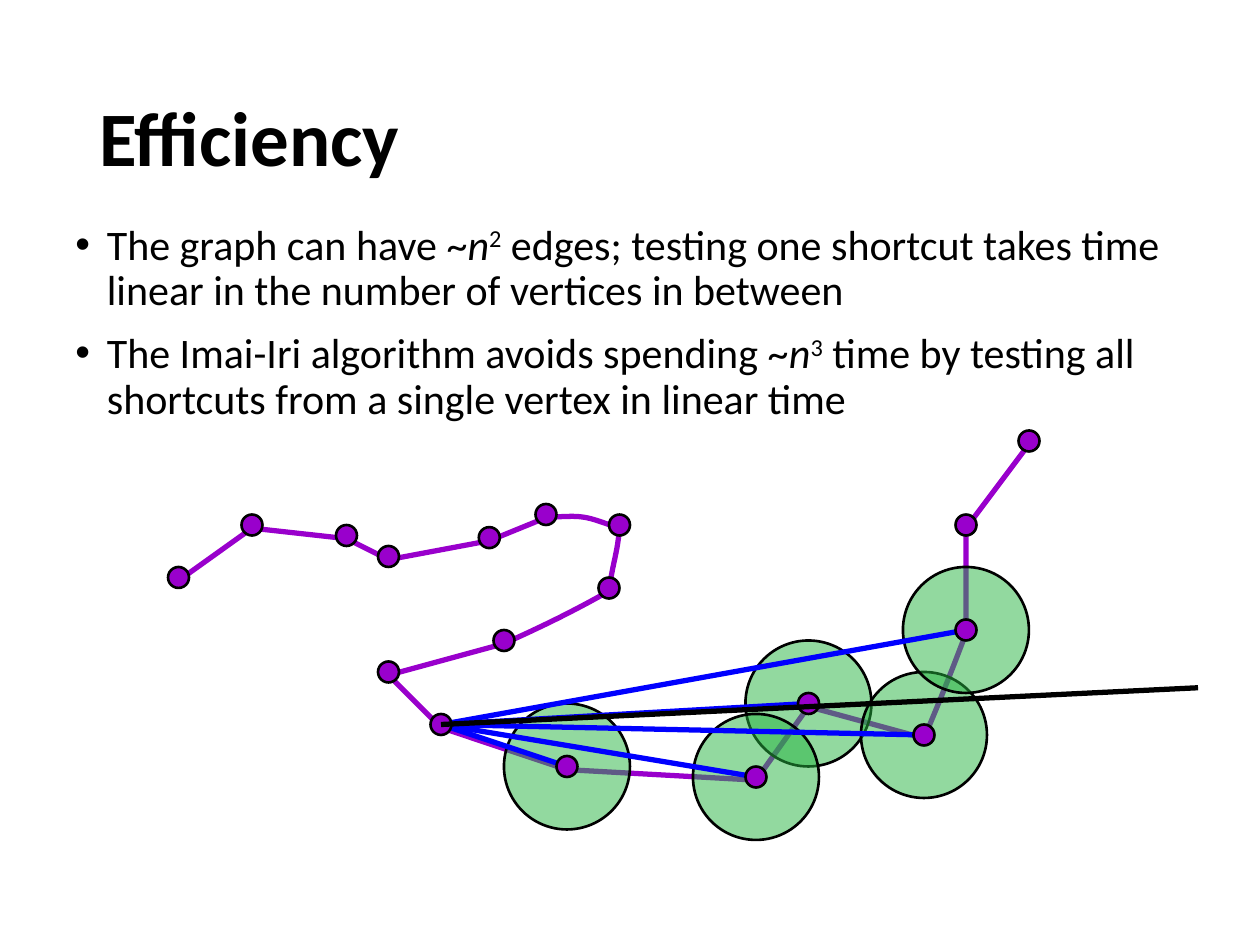
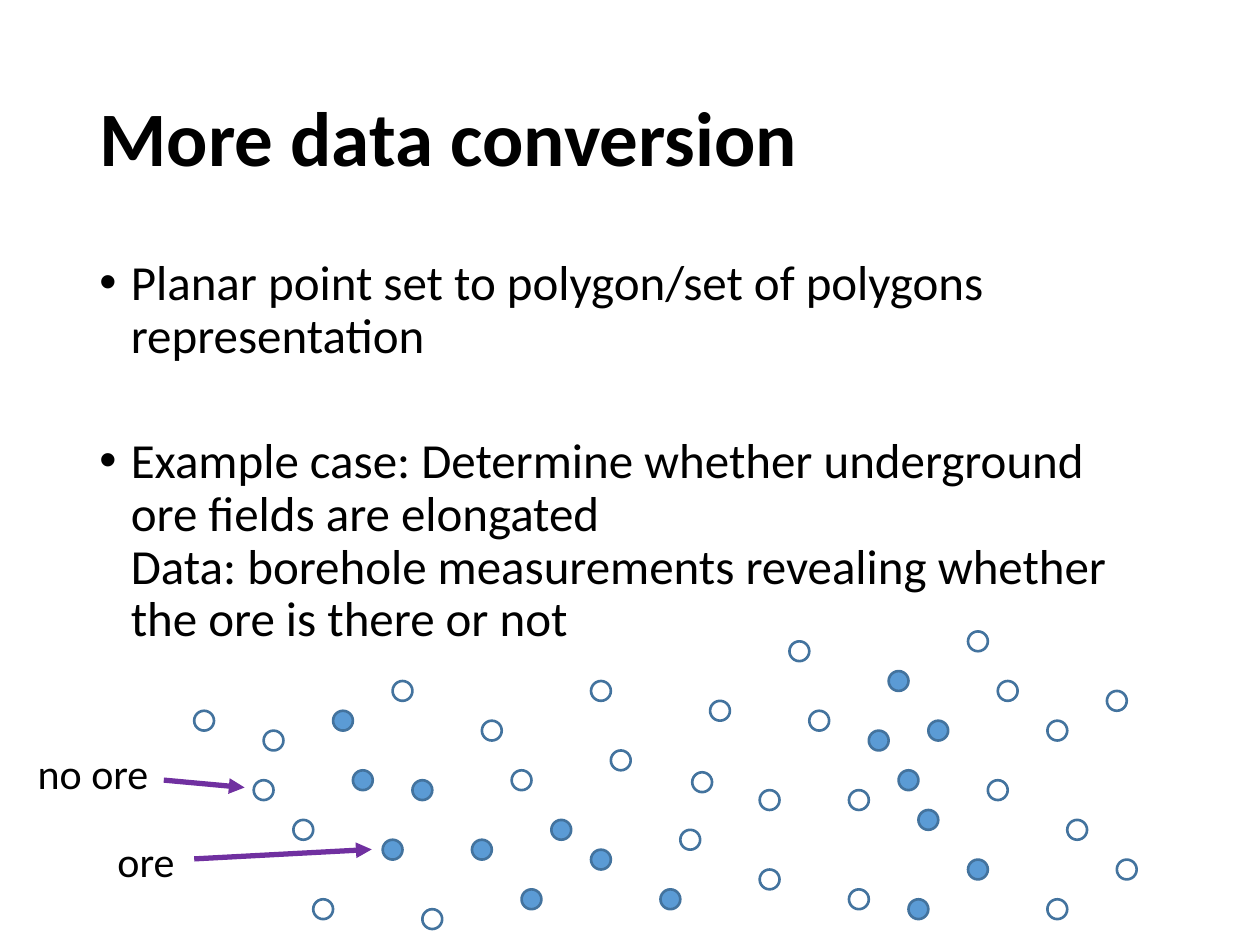
"""Build two lecture slides: shortcut testing on a polyline, and ore boreholes."""
from lxml.etree import SubElement
from pptx import Presentation
from pptx.dml.color import RGBColor
from pptx.enum.shapes import MSO_CONNECTOR, MSO_SHAPE
from pptx.enum.text import MSO_ANCHOR
from pptx.oxml.ns import qn
from pptx.util import Inches, Pt

COLUMNS = 120
COLORS = {
    "text": "000000",
    "chain": "9900CC",
    "tolerance": "26B441",
    "shortcut": "0000FF",
    "ore": "5B9BD5",
    "borehole": "43739E",
    "pointer": "7030A0",
}
TITLE_AREA = (8.28, 4.8, 103.44, 17.4)

CHAIN = [
    (17, 55), (24, 50), (33, 51), (37, 53), (46.6, 51.2), (52, 49),
    (59, 50), (58, 56), (48, 61), (37, 64), (42, 69), (54, 73),
    (72, 74), (77, 67), (88, 70), (92, 60), (92, 50), (98, 42),
]
BENDS = {
    6: ((55.9, 48.7), (55.7, 48.9)),
    7: ((58.8, 52.5), (58.4, 53)),
    8: ((54.6, 57.9), (52.2, 59.1)),
    15: ((89.3, 67), (90.8, 63.2)),
    16: ((92, 56.7), (92, 53.3)),
}
START = CHAIN[10]
TARGETS = CHAIN[11:16]

FIELD_LEFT, FIELD_TOP = 19.44, 61.08
FIELD_STEP = COLUMNS / 127
ORE = [
    (16, 14), (19, 21), (22, 15), (28, 21), (33, 26), (36, 19), (40, 22), (47, 26),
    (74, 9), (70, 4), (71, 14), (73, 18), (78, 23), (68, 10), (72, 27), (14, 8),
]
NO_ORE = [
    (40, 5), (42, 12), (50.2, 14.2), (29, 9), (23, 28), (10, 19), (12, 27),
    (7, 10), (78, 0), (81, 5), (93, 23), (62, 8), (66, 26), (57, 16),
    (57, 24), (52, 7), (92, 6), (86, 9), (88, 19), (0, 8), (86, 27),
    (6, 15), (80, 15), (32, 14), (20, 5), (49, 20), (60, 1), (66, 16),
]


def color(name):
    """Return the named colour."""
    return RGBColor.from_string(COLORS[name])


def bezier(start, first, second, end, steps=10):
    """Return the points of a cubic curve after its start."""
    points = []
    for step in range(1, steps + 1):
        t = step / steps
        weights = ((1 - t) ** 3, 3 * t * (1 - t) ** 2, 3 * t * t * (1 - t), t ** 3)
        corners = (start, first, second, end)
        points.append(tuple(
            sum(w * corner[axis] for w, corner in zip(weights, corners))
            for axis in (0, 1)))
    return points


class Deck:
    """Hold the style, the grid and the current slide."""

    def __init__(self):
        """Start an empty deck of 10 by 7.5 inches."""
        self.file = Presentation()
        self.file.slide_width, self.file.slide_height = Inches(10), Inches(7.5)
        self.unit = self.file.slide_width / COLUMNS

    def emu(self, *lengths):
        """Turn grid lengths into slide lengths."""
        return [round(length * self.unit) for length in lengths]

    def page(self, title):
        """Add a slide with its title."""
        blank = self.file.slide_layouts[6]
        self.shapes = self.file.slides.add_slide(blank).shapes
        frame = self.frame(TITLE_AREA)
        frame.vertical_anchor = MSO_ANCHOR.MIDDLE
        para = frame.paragraphs[0]
        para.line_spacing = 0.9
        self.span(para, title, 44).font.bold = True

    def frame(self, area, wrap=True):
        """Add a text box and return its text frame."""
        frame = self.shapes.add_textbox(*self.emu(*area)).text_frame
        frame.word_wrap = wrap
        return frame

    def span(self, para, text, size, look=None):
        """Add one run, in italics or raised if asked."""
        run = para.add_run()
        run.text = text
        run.font.name, run.font.size = "Calibri", Pt(size)
        run.font.color.rgb = color("text")
        if look == "italic":
            run.font.italic = True
        elif look == "raised":
            run.font._element.set("baseline", "30000")
        return run

    def bullets(self, area, size, items, gap=10):
        """Add bulleted paragraphs made of lines of spans."""
        frame = self.frame(area)
        for index, lines in enumerate(items):
            para = frame.add_paragraph() if index else frame.paragraphs[0]
            para.line_spacing = 0.9
            para.space_before = Pt(gap if index else 10)
            properties = para._p.get_or_add_pPr()
            properties.set("marL", str(Inches(0.25)))
            properties.set("indent", str(-Inches(0.25)))
            SubElement(properties, qn("a:buFont"), typeface="Arial")
            SubElement(properties, qn("a:buChar"), char="•")
            for number, line in enumerate(lines):
                if number:
                    para.add_line_break()
                for text, look in line:
                    self.span(para, text, size, look)

    def label(self, area, text):
        """Add a short unwrapped label."""
        self.span(self.frame(area, wrap=False).paragraphs[0], text, 24)

    def circle(self, center, size, fill=None, line="text", alpha=None):
        """Add a circle around a grid point."""
        x, y = center
        area = self.emu(x - size / 2, y - size / 2, size, size)
        shape = self.shapes.add_shape(MSO_SHAPE.OVAL, *area)
        shape.shadow.inherit = False
        if fill:
            shape.fill.solid()
            shape.fill.fore_color.rgb = color(fill)
        else:
            shape.fill.background()
        if alpha:
            tint = shape._element.spPr.find(".//" + qn("a:srgbClr"))
            SubElement(tint, qn("a:alpha"), val=str(alpha * 1000))
        shape.line.color.rgb, shape.line.width = color(line), Pt(1.5)

    def line(self, start, end, name, arrow=False):
        """Add a straight line, with an arrowhead if asked."""
        connector = self.shapes.add_connector(
            MSO_CONNECTOR.STRAIGHT, *self.emu(*start, *end))
        connector.line.color.rgb, connector.line.width = color(name), Pt(3)
        SubElement(connector._element.spPr, qn("a:effectLst"))
        if arrow:
            SubElement(connector.line._get_or_add_ln(), qn("a:tailEnd"), type="triangle")

    def outline(self, points, name):
        """Add an open outline through grid points."""
        first, *rest = [self.emu(*point) for point in points]
        builder = self.shapes.build_freeform(*first, scale=1.0)
        builder.add_line_segments(rest, close=False)
        shape = builder.convert_to_shape()
        shape.shadow.inherit = False
        shape.fill.background()
        shape.line.color.rgb, shape.line.width = color(name), Pt(3)


def efficiency(deck):
    """Draw the shortcut test from one vertex."""
    deck.page("Efficiency")
    points = CHAIN[:1]
    for index, vertex in enumerate(CHAIN[1:], 1):
        bend = BENDS.get(index)
        points = points + (bezier(CHAIN[index - 1], *bend, vertex) if bend else [vertex])
    deck.outline([(x, y + 0.3) for x, y in points], "chain")
    for index in (2, 3, 4, 1, 0):
        deck.circle(TARGETS[index], 12, "tolerance", alpha=50)
    for target in TARGETS:
        deck.line(START, target, "shortcut")
    deck.bullets((6, 20.76, 108, 23.4), 24, [
        [[("The graph can have ~", None), ("n", "italic"), ("2", "raised"),
          (" edges; testing one shortcut takes time linear in the number "
           "of vertices in between", None)]],
        [[("The Imai-Iri algorithm avoids spending ~", None), ("n", "italic"),
          ("3", "raised"),
          (" time by testing all shortcuts from a single vertex in linear time", None)]],
    ])
    for vertex in CHAIN:
        deck.circle(vertex, 2, "chain")
    deck.line(START, (114.1, 65.5), "text")


def data_conversion(deck):
    """Draw the borehole example."""
    deck.page("More data conversion")
    deck.bullets((8.28, 24, 103.44, 39), 28, [
        [[("Planar point set to polygon/set of polygons representation", None)]],
        [[("Example case: Determine whether underground ore fields are elongated", None)],
         [("Data: borehole measurements revealing whether the ore is there or not", None)]],
    ], gap=41)
    for holes, fill in ((ORE, "ore"), (NO_ORE, None)):
        for column, row in holes:
            center = (FIELD_LEFT + column * FIELD_STEP, FIELD_TOP + row * FIELD_STEP)
            deck.circle(center, 2 * FIELD_STEP, fill, "borehole")
    deck.label((2.4, 70.6, 13.1, 6), "no ore")
    deck.label((10, 79, 7.9, 6), "ore")
    deck.line((15.6, 74.3), (23.3, 75), "pointer", arrow=True)
    deck.line((18.5, 81.8), (35.4, 80.9), "pointer", arrow=True)


def main():
    """Build and save both slides."""
    deck = Deck()
    efficiency(deck)
    data_conversion(deck)
    deck.file.save("out.pptx")


if __name__ == "__main__":
    main()
